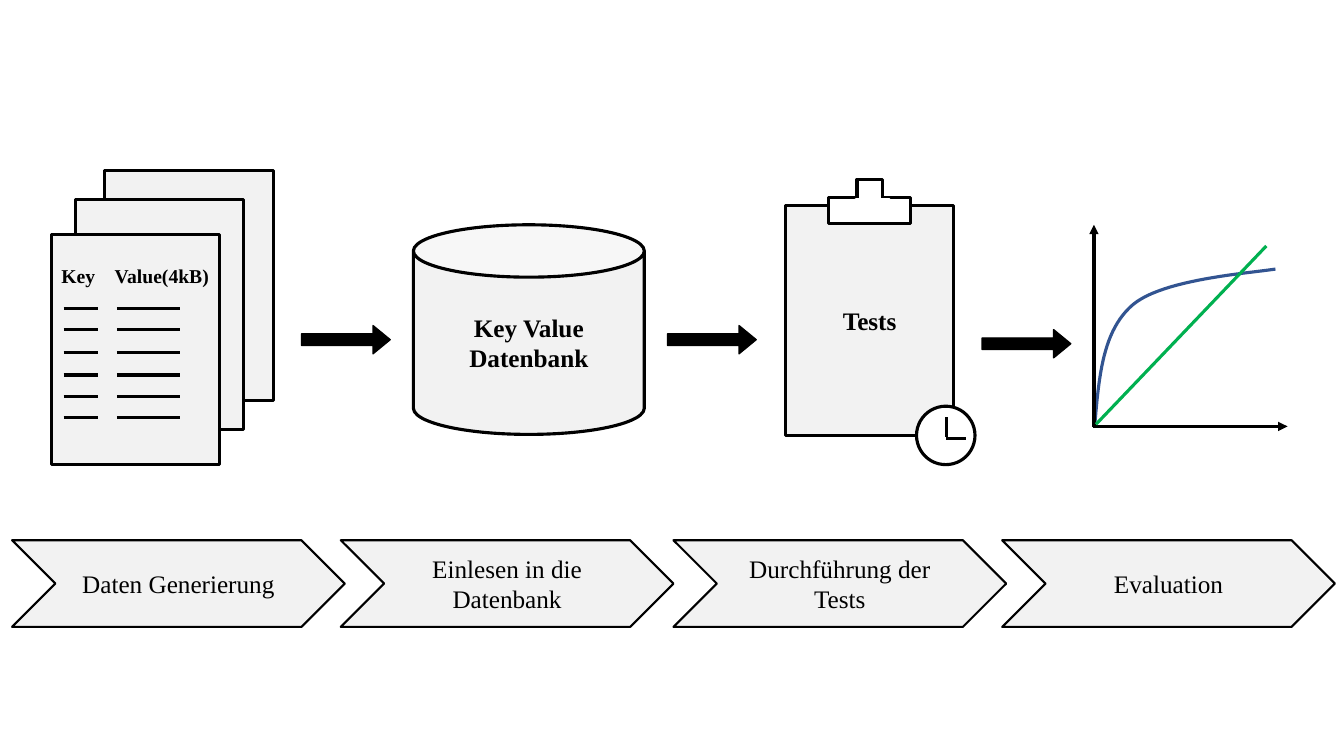
from lxml import etree
from pptx import Presentation
from pptx.dml.color import RGBColor
from pptx.enum.shapes import MSO_CONNECTOR, MSO_SHAPE
from pptx.enum.text import MSO_ANCHOR, PP_ALIGN
from pptx.oxml.ns import qn
from pptx.util import Pt

PX = 9144
FONT = "Times New Roman"
BLACK = RGBColor(0x00, 0x00, 0x00)
WHITE = RGBColor(0xFF, 0xFF, 0xFF)
GRAY = RGBColor(0xF2, 0xF2, 0xF2)
BLUE = RGBColor(0x32, 0x54, 0x91)
GREEN = RGBColor(0x00, 0xB0, 0x50)
RECT = MSO_SHAPE.RECTANGLE
CAN = MSO_SHAPE.CAN
CIRCLE = MSO_SHAPE.FLOWCHART_CONNECTOR
CHEVRON = MSO_SHAPE.CHEVRON
ARROW = MSO_SHAPE.RIGHT_ARROW
STRAIGHT = MSO_CONNECTOR.STRAIGHT
CENTER, LEFT = PP_ALIGN.CENTER, PP_ALIGN.LEFT
MIDDLE, TOP = MSO_ANCHOR.MIDDLE, MSO_ANCHOR.TOP

prs = Presentation()
prs.slide_width, prs.slide_height = 1333 * PX, 750 * PX
s = prs.slides.add_slide(prs.slide_layouts[6])


def add_box(kind, x, y, w, h, fill=GRAY, line=BLACK, width=2.25):
    sp = s.shapes.add_shape(kind, x * PX, y * PX, w * PX, h * PX)
    sp.shadow.inherit = False
    sp.fill.solid()
    sp.fill.fore_color.rgb = fill
    sp.line.color.rgb = line
    sp.line.width = Pt(width)
    return sp


def set_text(sp, text, size=18, bold=False, align=CENTER, anchor=MIDDLE, tab=None):
    tf = sp.text_frame
    tf.word_wrap = True
    tf.vertical_anchor = anchor
    p = tf.paragraphs[0]
    p.alignment = align
    if tab:
        tabs = etree.SubElement(p._p.get_or_add_pPr(), qn("a:tabLst"))
        etree.SubElement(tabs, qn("a:tab"), pos=str(tab * PX), algn="l")
    r = p.add_run()
    r.text = text
    r.font.name = FONT
    r.font.size = Pt(size)
    r.font.bold = bold
    r.font.color.rgb = BLACK


for x, y in [(104, 169), (75, 198), (51, 233)]:
    sheet = add_box(RECT, x, y, 167, 228)
set_text(sheet, "Key\tValue(4kB)", size=14, bold=True, align=LEFT, anchor=TOP, tab=53)
sheet.text_frame.margin_left = 10 * PX
sheet.text_frame.margin_right = 0
sheet.text_frame.margin_top = 29 * PX

set_text(add_box(CAN, 410, 223, 229, 208), "Key Value Datenbank", bold=True)

set_text(add_box(RECT, 779, 204, 167, 228), "Tests", bold=True)
add_box(RECT, 822, 196, 81, 26, fill=WHITE)
add_box(RECT, 850, 178, 25, 25, fill=WHITE)
add_box(RECT, 849, 198, 33, 15, fill=WHITE, line=WHITE)
add_box(CIRCLE, 909, 403, 58, 58, fill=WHITE)

steps = [
    (12, "Daten Generierung"),
    (338, "Einlesen in die Datenbank"),
    (668, "Durchführung der Tests"),
    (994, "Evaluation"),
]
for x, text in steps:
    set_text(add_box(CHEVRON, x, 536, 330, 86, width=1.5), text)

for x, y in [(299, 323), (662, 323), (974, 327)]:
    arrow = add_box(ARROW, x, y, 88, 28, fill=BLACK, width=1)
    arrow.adjustments[0] = 0.408
    arrow.adjustments[1] = 0.608

curves = [
    [(1086, 420), (1090, 373), (1094, 327), (1124, 302)],
    [(1124, 302), (1154, 277), (1239, 271), (1265, 267)],
]
points = []
for curve in curves:
    for i in range(1, 25):
        t = i / 24
        weights = [(1 - t) ** 3, 3 * t * (1 - t) ** 2, 3 * t * t * (1 - t), t ** 3]
        points.append([sum(w * c for w, c in zip(weights, axis)) for axis in zip(*curve)])
fb = s.shapes.build_freeform(1086 * PX, 420 * PX)
fb.add_line_segments([(round(x * PX), round(y * PX)) for x, y in points], close=False)
growth = fb.convert_to_shape()
growth.shadow.inherit = False
growth.fill.background()
growth.line.color.rgb = BLUE
growth.line.width = Pt(2.25)

lines = [
    (939, 414, 939, 434, BLACK, False),
    (958, 435, 938, 435, BLACK, False),
    (1085, 424, 1085, 223, BLACK, True),
    (1084, 423, 1277, 423, BLACK, True),
    (1087, 421, 1256, 244, GREEN, False),
]
for y in [306, 327, 350, 372, 393, 414]:
    for x1, x2 in [(63, 97), (116, 179)]:
        lines.append((x1, y, x2, y, BLACK, False))

for x1, y1, x2, y2, color, head in lines:
    c = s.shapes.add_connector(STRAIGHT, x1 * PX, y1 * PX, x2 * PX, y2 * PX)
    c.line.color.rgb = color
    c.line.width = Pt(2.25)
    if head:
        etree.SubElement(c.line._get_or_add_ln(), qn("a:tailEnd"), type="triangle")
    etree.SubElement(c._element.spPr, qn("a:effectLst"))

prs.save("out.pptx")
